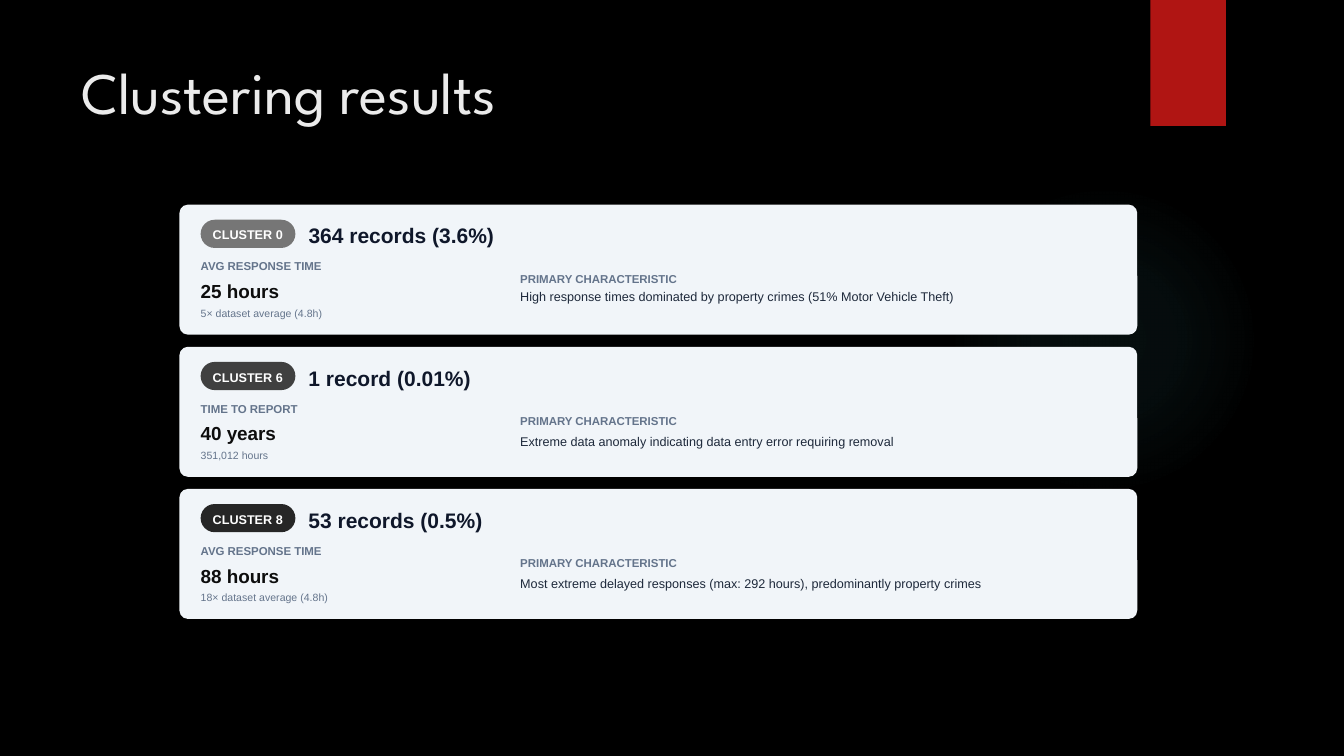
"""Build the clustering results slide with three cluster cards."""
from dataclasses import dataclass

from lxml import etree
from pptx import Presentation
from pptx.dml.color import RGBColor
from pptx.enum.shapes import MSO_SHAPE
from pptx.oxml.ns import qn
from pptx.shapes.autoshape import Shape
from pptx.slide import Slide
from pptx.util import Pt

RECT, OVAL, ROUNDED = MSO_SHAPE.RECTANGLE, MSO_SHAPE.OVAL, MSO_SHAPE.ROUNDED_RECTANGLE
PX = 9144
CARD_LEFT, CARD_TOP, CARD_W, CARD_H, CARD_PITCH = 178, 203, 950, 129, 141
LEFT_COL, RIGHT_COL, LEFT_W = 199, 516, 305
COLORS = {
    "background": "000000", "accent": "B01513", "glow": "50B9C1",
    "title": "EBEBEB", "card": "F1F5F9", "white": "FFFFFF",
    "heading": "0F172A", "label": "64748B", "value": "0D0D0D", "body": "1E293B",
    "gray": "767676", "dark": "404040", "darkest": "262626",
}
GLOW_STOPS = ((0, 7), (36, 6), (69, 0), (100, 0))


@dataclass(frozen=True)
class Style:
    size: float
    color: str
    bold: bool = False
    line: float | None = None
    before: float = 0
    after: float = 0
    font: str = "Arial"


@dataclass(frozen=True)
class Cluster:
    name: str
    pill: str
    records: str
    records_w: int
    metric: str
    value: str
    note: str
    trait: str
    trait_label_w: int = 609
    trait_top: int = 83
    trait_w: int = 609
    trait_h: int = 19


TITLE = Style(42, "title", font="League Spartan")
PILL = Style(9, "white", True, 12.6)
HEADING = Style(15, "heading", True, 21)
LABEL = Style(8.2, "label", True, 11.6, after=2.2)
VALUE = Style(13.5, "value", True, 18.9)
NOTE = Style(7.5, "label", False, 10.5, before=1.5)
BODY = Style(9, "body", False, 13.5)

CLUSTERS = (
    Cluster("CLUSTER 0", "gray", "364 records (3.6%)", 188,
            "AVG RESPONSE TIME", "25 hours", "5× dataset average (4.8h)",
            "High response times dominated by property crimes (51% Motor Vehicle Theft)",
            327, 80, 437, 22),
    Cluster("CLUSTER 6", "dark", "1 record (0.01%)", 164,
            "TIME TO REPORT", "40 years", "351,012 hours",
            "Extreme data anomaly indicating data entry error requiring removal"),
    Cluster("CLUSTER 8", "darkest", "53 records (0.5%)", 176,
            "AVG RESPONSE TIME", "88 hours", "18× dataset average (4.8h)",
            "Most extreme delayed responses (max: 292 hours), predominantly property crimes"),
)


def rgb(name: str) -> RGBColor:
    return RGBColor.from_string(COLORS[name])


def add_box(s: Slide, kind: MSO_SHAPE, x: int, y: int, w: int, h: int,
            color: str, radius: float | None = None) -> Shape:
    sp = s.shapes.add_shape(kind, x * PX, y * PX, w * PX, h * PX)
    sp.shadow.inherit = False
    sp.fill.solid()
    sp.fill.fore_color.rgb = rgb(color)
    sp.line.fill.background()
    if radius is not None:
        sp.adjustments[0] = radius
    return sp


def add_text(s: Slide, x: int, y: int, w: int, h: int, text: str,
             style: Style, inset: tuple[int, int] = (0, 0)) -> None:
    tf = s.shapes.add_textbox(x * PX, y * PX, w * PX, h * PX).text_frame
    tf.word_wrap = True
    tf.margin_left = tf.margin_right = inset[0] * PX
    tf.margin_top = tf.margin_bottom = inset[1] * PX
    tf.text = text
    p = tf.paragraphs[0]
    if style.line:
        p.line_spacing = Pt(style.line)
    p.space_before, p.space_after = Pt(style.before), Pt(style.after)
    font = p.runs[0].font
    font.name, font.size, font.bold = style.font, Pt(style.size), style.bold
    font.color.rgb = rgb(style.color)


def add_glow(s: Slide) -> None:
    sp = add_box(s, OVAL, 941, 183, 308, 308, "glow")
    solid = sp.fill.fore_color and sp.element.spPr.find(qn("a:solidFill"))
    grad = etree.Element(qn("a:gradFill"), rotWithShape="1")
    stops = etree.SubElement(grad, qn("a:gsLst"))
    for pos, alpha in GLOW_STOPS:
        stop = etree.SubElement(stops, qn("a:gs"), pos=str(pos * 1000))
        color = etree.SubElement(stop, qn("a:srgbClr"), val=COLORS["glow"])
        etree.SubElement(color, qn("a:alpha"), val=str(alpha * 1000))
    circle = etree.SubElement(grad, qn("a:path"), path="circle")
    etree.SubElement(circle, qn("a:fillToRect"), l="50000", t="50000", r="50000", b="50000")
    sp.element.spPr.replace(solid, grad)


def add_card(s: Slide, top: int, c: Cluster) -> None:
    add_box(s, ROUNDED, CARD_LEFT, top, CARD_W, CARD_H, "card", 0.065)
    add_box(s, ROUNDED, LEFT_COL, top + 15, 94, 28, c.pill, 0.5)
    add_text(s, 211, top + 20, 71, 17, c.name, PILL)
    add_text(s, 306, top + 14, c.records_w, 29, c.records, HEADING)
    add_text(s, LEFT_COL, top + 52, LEFT_W, 16, c.metric, LABEL)
    add_text(s, LEFT_COL, top + 71, LEFT_W, 26, c.value, VALUE)
    add_text(s, LEFT_COL, top + 99, LEFT_W, 15, c.note, NOTE)
    add_text(s, RIGHT_COL, top + 64, c.trait_label_w, 16, "PRIMARY CHARACTERISTIC", LABEL)
    add_text(s, RIGHT_COL, top + c.trait_top, c.trait_w, c.trait_h, c.trait, BODY)


def main() -> None:
    prs = Presentation()
    prs.slide_width, prs.slide_height = 1333 * PX, 750 * PX
    s = prs.slides.add_slide(prs.slide_layouts[6])
    s.background.fill.solid()
    s.background.fill.fore_color.rgb = rgb("background")
    add_glow(s)
    add_box(s, RECT, 1141, 0, 75, 125, "accent")
    add_text(s, 71, 50, 1029, 153, "Clustering results", TITLE, (10, 5))
    for i, cluster in enumerate(CLUSTERS):
        add_card(s, CARD_TOP + i * CARD_PITCH, cluster)
    prs.save("out.pptx")


if __name__ == "__main__":
    main()
